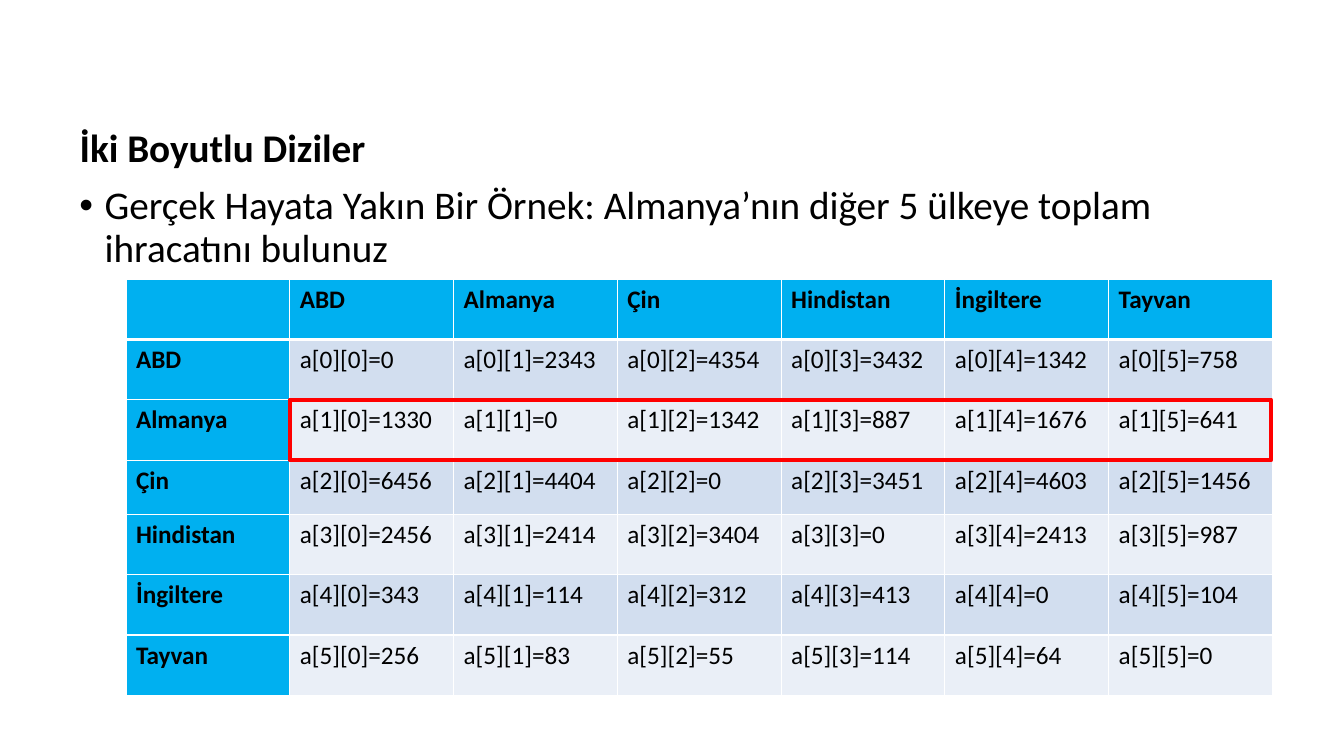
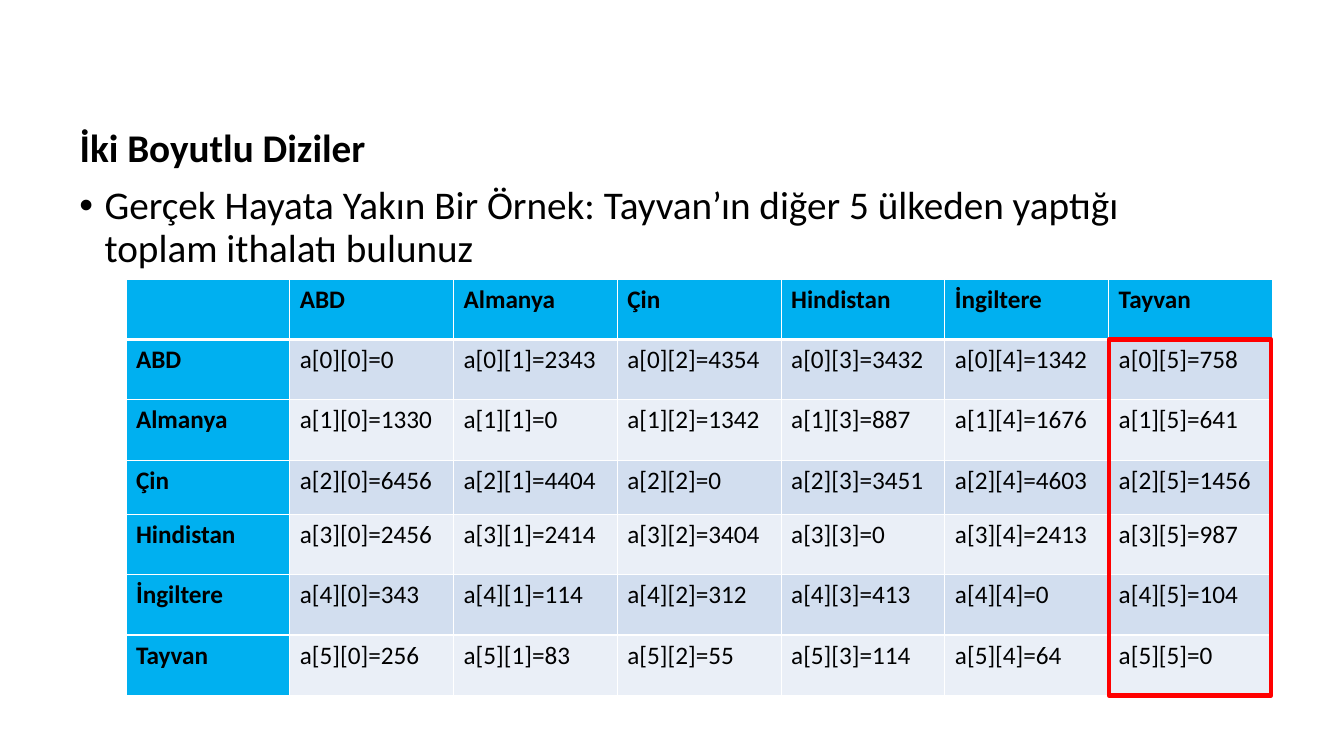
from dataclasses import dataclass

from lxml import etree
from pptx import Presentation
from pptx.dml.color import RGBColor
from pptx.enum.shapes import MSO_SHAPE
from pptx.enum.text import MSO_ANCHOR, MSO_AUTO_SIZE, PP_ALIGN
from pptx.oxml.ns import qn
from pptx.util import Pt


@dataclass(frozen=True)
class Theme:
    font: str = "Calibri"
    text_size: float = 28
    cell_size: float = 18
    text: str = "000000"
    heading_fill: str = "00B0F0"
    bands: tuple = ("D2DEEF", "EAEFF7")
    grid: str = "FFFFFF"
    highlight: str = "FF0000"


THEME = Theme()
SLIDE_WIDTH, SLIDE_HEIGHT = 960, 540
TEXT_LEFT, TEXT_WIDTH = 49.7, 828
TITLE_TOP, TITLE_HEIGHT = 88.6, 38
TASK_TOP, TASK_HEIGHT = 129.4, 69
TABLE_LEFT, TABLE_TOP = 90, 199.4
COLUMN_WIDTH = 117
ROW_HEIGHTS = [43.1, 43.1, 43.1, 38.8, 43.1, 43.1, 43.1]

TITLE = "İki Boyutlu Diziler"
COUNTRIES = ["ABD", "Almanya", "Çin", "Hindistan", "İngiltere", "Tayvan"]
EXPORTS = [
    [0, 2343, 4354, 3432, 1342, 758],
    [1330, 0, 1342, 887, 1676, 641],
    [6456, 4404, 0, 3451, 4603, 1456],
    [2456, 2414, 3404, 0, 2413, 987],
    [343, 114, 312, 413, 0, 104],
    [256, 83, 55, 114, 64, 0],
]
# Task, then the first and last highlighted cell as (row, column)
EXAMPLES = [
    ("Gerçek Hayata Yakın Bir Örnek: Almanya’nın diğer 5 ülkeye toplam ihracatını bulunuz",
     (2, 1), (2, 6)),
    ("Gerçek Hayata Yakın Bir Örnek: Tayvan’ın diğer 5 ülkeden yaptığı toplam ithalatı bulunuz",
     (1, 6), (6, 6)),
]


def rgb(color):
    return RGBColor.from_string(color)


def write_text(frame, text, size=THEME.text_size, bold=False, line_spacing=None, bullet=None):
    frame.word_wrap = True
    frame.vertical_anchor = MSO_ANCHOR.TOP
    paragraph = frame.paragraphs[0]
    paragraph.text = text
    paragraph.alignment = PP_ALIGN.LEFT
    if line_spacing:
        paragraph.line_spacing = line_spacing
    if bullet:
        properties = paragraph._p.get_or_add_pPr()
        properties.set("marL", str(Pt(18)))
        properties.set("indent", str(-Pt(18)))
        etree.SubElement(properties, qn("a:buFont"), typeface="Arial")
        etree.SubElement(properties, qn("a:buChar"), char=bullet)
    font = paragraph.font
    font.name, font.size, font.bold = THEME.font, Pt(size), bold
    font.color.rgb = rgb(THEME.text)


def add_title(slide):
    title = slide.shapes.title
    title.left, title.top = Pt(TEXT_LEFT), Pt(TITLE_TOP)
    title.width, title.height = Pt(TEXT_WIDTH), Pt(TITLE_HEIGHT)
    title.text_frame.auto_size = MSO_AUTO_SIZE.NONE
    write_text(title.text_frame, TITLE, bold=True, line_spacing=0.9)


def add_task(slide, task):
    box = slide.shapes.add_textbox(Pt(TEXT_LEFT), Pt(TASK_TOP), Pt(TEXT_WIDTH), Pt(TASK_HEIGHT))
    write_text(box.text_frame, task, line_spacing=0.9, bullet="•")


def set_borders(cell, **widths):
    """Draw the sides L, R, T and B in the given widths."""
    properties = cell._tc.get_or_add_tcPr()
    for side, width in widths.items():
        line = etree.SubElement(properties, qn(f"a:ln{side}"), w=str(Pt(width)))
        fill = etree.SubElement(line, qn("a:solidFill"))
        etree.SubElement(fill, qn("a:srgbClr"), val=THEME.grid)


def cell_text(row, column):
    if row and column:
        return f"a[{row - 1}][{column - 1}]={EXPORTS[row - 1][column - 1]}"
    return ["", *COUNTRIES][row or column]


def add_export_table(slide):
    count = len(COUNTRIES) + 1
    table = slide.shapes.add_table(
        count, count, Pt(TABLE_LEFT), Pt(TABLE_TOP),
        Pt(COLUMN_WIDTH * count), Pt(sum(ROW_HEIGHTS))).table
    table.first_row = table.horz_banding = False
    for column in table.columns:
        column.width = Pt(COLUMN_WIDTH)
    for row, height in enumerate(ROW_HEIGHTS):
        table.rows[row].height = Pt(height)
        for column in range(count):
            cell = table.cell(row, column)
            is_heading = row == 0 or column == 0
            set_borders(cell, L=1, R=1, T=3 if row == 1 else 1, B=3 if row == 0 else 1)
            cell.fill.solid()
            cell.fill.fore_color.rgb = rgb(
                THEME.heading_fill if is_heading else THEME.bands[(row - 1) % 2])
            write_text(cell.text_frame, cell_text(row, column),
                       size=THEME.cell_size, bold=is_heading)


def add_highlight(slide, first, last):
    """Frame the table cells from first to last."""
    (top_row, left_column), (bottom_row, right_column) = first, last
    frame = slide.shapes.add_shape(
        MSO_SHAPE.RECTANGLE,
        Pt(TABLE_LEFT + COLUMN_WIDTH * left_column),
        Pt(TABLE_TOP + sum(ROW_HEIGHTS[:top_row])),
        Pt(COLUMN_WIDTH * (right_column - left_column + 1) - 1),
        Pt(sum(ROW_HEIGHTS[top_row:bottom_row + 1])))
    frame.shadow.inherit = False
    frame.fill.background()
    frame.line.color.rgb = rgb(THEME.highlight)
    frame.line.width = Pt(3)


def main():
    presentation = Presentation()
    presentation.slide_width, presentation.slide_height = Pt(SLIDE_WIDTH), Pt(SLIDE_HEIGHT)
    title_only = presentation.slide_layouts[5]
    for task, first, last in EXAMPLES:
        slide = presentation.slides.add_slide(title_only)
        add_title(slide)
        add_task(slide, task)
        add_export_table(slide)
        add_highlight(slide, first, last)
    presentation.save("out.pptx")


if __name__ == "__main__":
    main()
